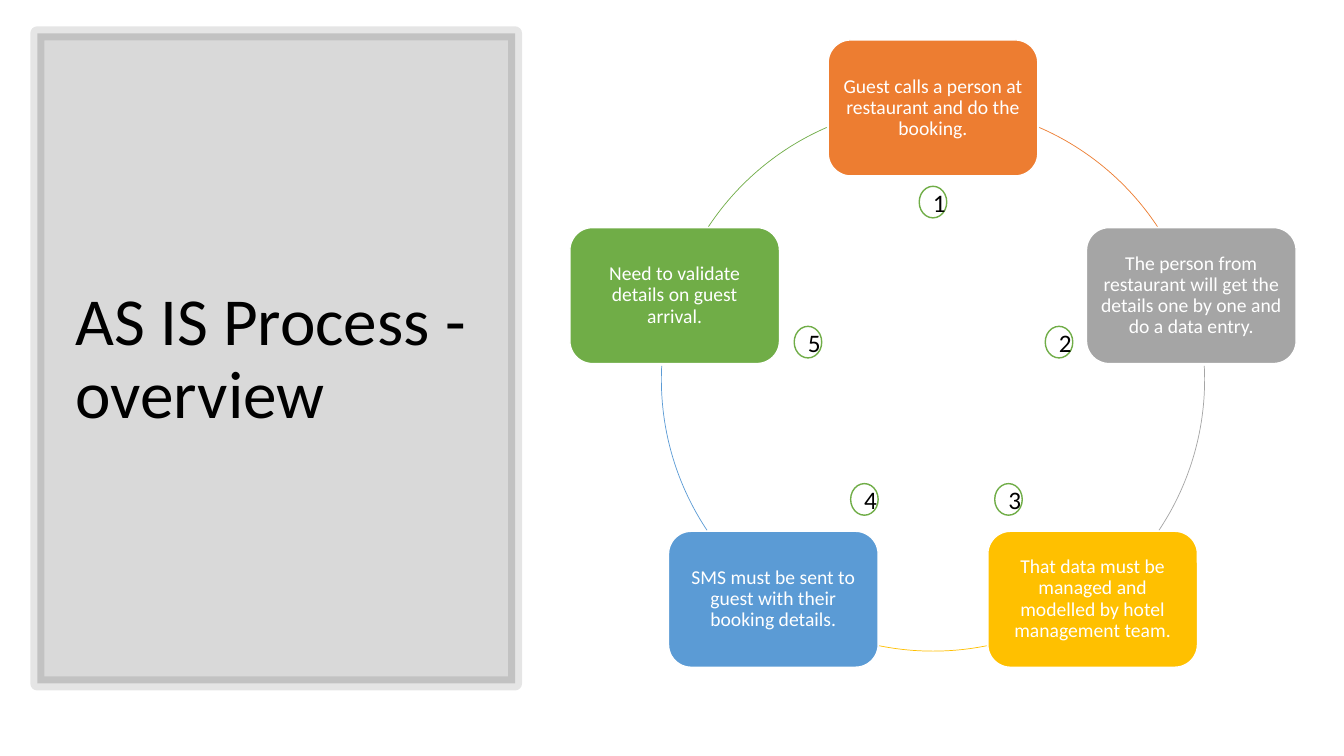
from math import cos, radians, sin

from pptx import Presentation, util as u
from pptx.dml.color import RGBColor
from pptx.enum import shapes, text
from pptx.oxml.ns import qn
from lxml import etree

COLS, ROWS = 100, 56.25
UNIT = u.Inches(13.333) / COLS
KIND = shapes.MSO_SHAPE
INK = {
    "black": "000000", "white": "FFFFFF", "orange": "ED7D31", "gray": "A5A5A5",
    "gold": "FFC000", "blue": "5B9BD5", "green": "70AD47",
}
# Ring of steps: centre, radius and the angle between neighbours
MID_X, MID_Y, RING = 69.42, 28.24, 20.21
TURN = 72
# Wording, colour, badge offset, arc start and end (clockwise from east), arc shift
STEPS = [
    ("Guest calls a person at restaurant and do the booking.",
     "orange", (0, -13.2), (293.5, 326.5), (-0.15, -0.22)),
    ("The person from restaurant will get the details one by one and do a data entry.",
     "gray", (9.38, -2.78), (357.1, 33.7), (0, 0)),
    ("That data must be managed and modelled by hotel management team.",
     "gold", (5.62, 8.92), (78.6, 101.4), (0, 0)),
    ("SMS must be sent to guest with their booking details.",
     "blue", (-5.1, 8.92), (146.3, 182.9), (0, 0)),
    ("Need to validate details on guest arrival.",
     "green", (-9.3, -2.78), (213.5, 246.5), (0.15, -0.22)),
]


def grid(*vals):
    """Turn grid units into slide lengths."""
    return [u.Emu(round(v * UNIT)) for v in vals]


def write(shape, words, size=14, ink="white", align="CENTER", gap=1.0, inset=0.1):
    """Put formatted text into a shape."""
    frame = shape.text_frame
    frame.word_wrap = True
    frame.vertical_anchor = text.MSO_ANCHOR.MIDDLE
    if inset != 0.1:
        frame.margin_left = frame.margin_right = u.Inches(inset)
        frame.margin_top = frame.margin_bottom = u.Inches(inset)
    para = frame.paragraphs[0]
    para.alignment = getattr(text.PP_ALIGN, align)
    para.line_spacing = gap
    run = para.add_run()
    run.text = words
    run.font.size = u.Pt(size)
    run.font.name = "Calibri"
    run.font.color.rgb = RGBColor.from_string(INK[ink])


def fade(fill, share):
    """Set the opacity, in percent, of a colour below an XML node."""
    tone = next(fill.iter(qn("a:srgbClr")))
    etree.SubElement(tone, qn("a:alpha")).set("val", str(share * 1000))


class Deck:
    """The current slide and its drawing style."""

    def __init__(self):
        """Start a deck with one blank slide."""
        self.prs = Presentation()
        self.prs.slide_width, self.prs.slide_height = grid(COLS, ROWS)
        self.slide = self.prs.slides.add_slide(self.prs.slide_layouts[6])

    def shape(self, kind, x, y, wide, high, fill=None, line="white", weight=1):
        """Add a preset shape centred on x, y."""
        box = grid(x - wide / 2, y - high / 2, wide, high)
        item = self.slide.shapes.add_shape(kind, *box)
        item.shadow.inherit = False
        if fill:
            item.fill.solid()
            item.fill.fore_color.rgb = RGBColor.from_string(INK[fill])
        else:
            item.fill.background()
        item.line.color.rgb = RGBColor.from_string(INK[line])
        item.line.width = u.Pt(weight)
        return item

    def panel(self, x, y, wide, high):
        """Add the see-through panel with its broad border."""
        item = self.shape(KIND.RECTANGLE, x, y, wide, high, "black", "black", 10)
        props = item.element.spPr
        fade(props.find(qn("a:solidFill")), 15)
        fade(props.find(qn("a:ln")), 10)

    def title(self, words, *box):
        """Add the title text box."""
        item = self.slide.shapes.add_textbox(*grid(*box))
        write(item, words, size=48, ink="black", align="LEFT", gap=0.9)

    def card(self, words, x, y, ink):
        """Add a rounded step card."""
        item = self.shape(KIND.ROUNDED_RECTANGLE, x, y, 15.6, 10.12, ink)
        write(item, words, gap=0.9, inset=0.06)

    def arc(self, x, y, ends, ink):
        """Add a thin arc of the ring between two angles in degrees."""
        item = self.shape(KIND.ARC, x, y, 2 * RING, 2 * RING, line=ink, weight=0.5)
        for pos, angle in enumerate(ends):
            item.adjustments[pos] = angle * 0.6

    def badge(self, num, x, y):
        """Add a numbered oval."""
        item = self.shape(KIND.OVAL, x, y, 2.05, 2.35, "white", "green")
        write(item, str(num), size=18, ink="black")


deck = Deck()
deck.panel(20.55, 26.67, 35.55, 48.38)
deck.title("AS IS Process - overview", 4.88, 5.25, 31.2, 43.12)

for num, (words, ink, spot, ends, shift) in enumerate(STEPS, 1):
    angle = radians(TURN * (num - 1) - 90)
    deck.card(words, MID_X + RING * cos(angle), MID_Y + RING * sin(angle), ink)
    deck.arc(MID_X + shift[0], MID_Y + shift[1], ends, ink)
    deck.badge(num, MID_X + spot[0], MID_Y + spot[1])

deck.prs.save("out.pptx")
